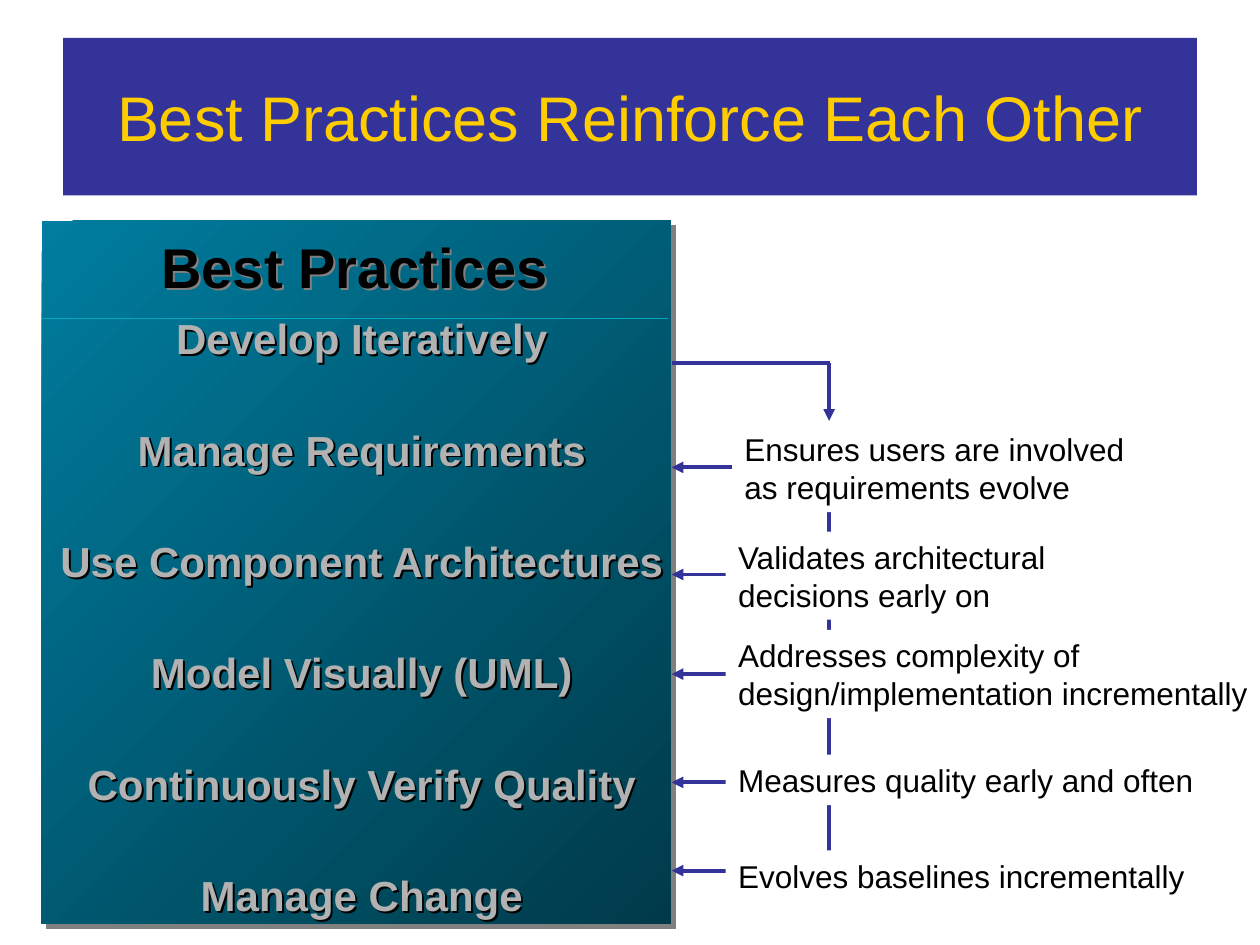
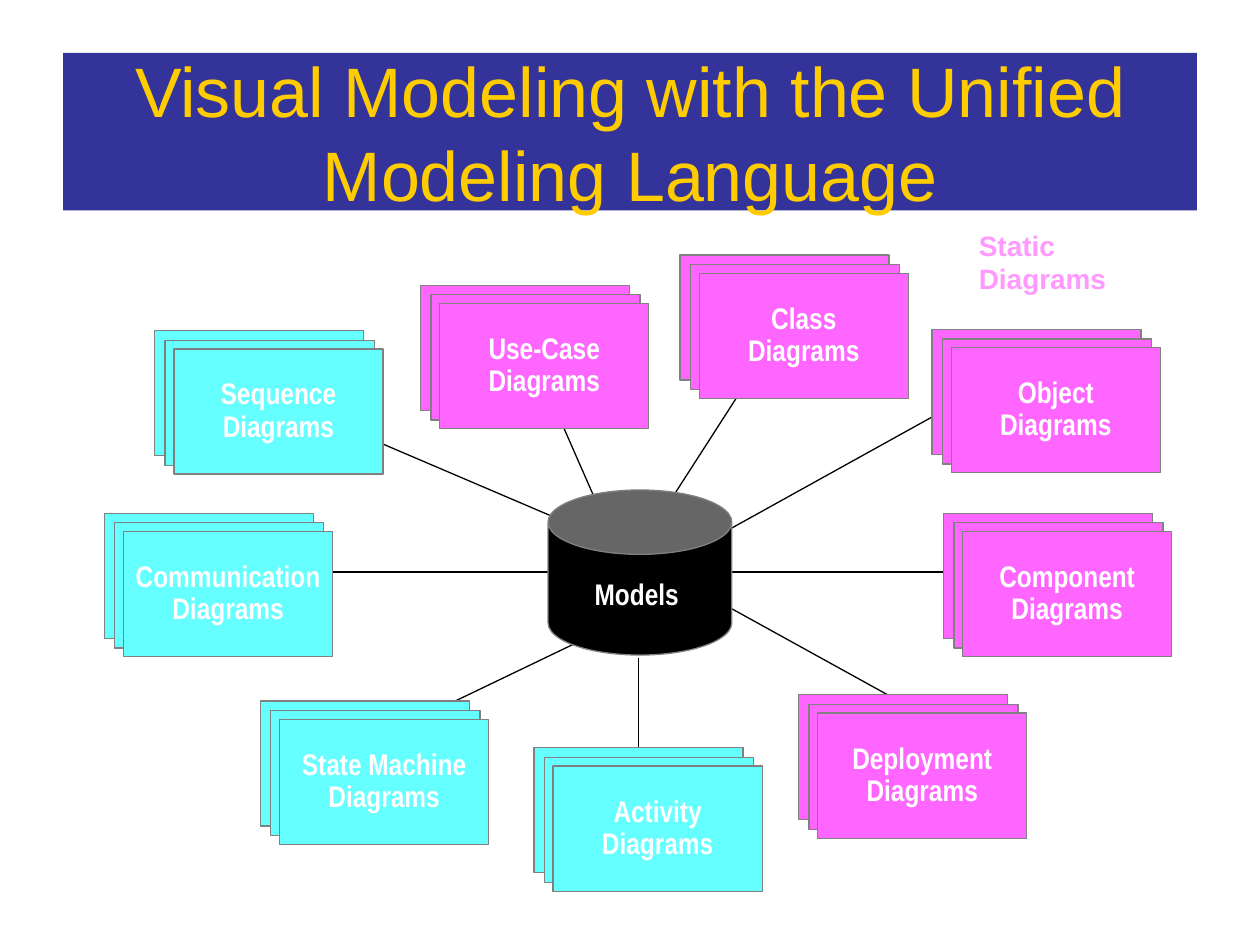
"""Build two slides on best practices and visual modeling."""
import pptx
import pptx.dml.color
import pptx.enum.shapes
import pptx.enum.text
import pptx.oxml.ns
import pptx.util
from lxml import etree

Pt = pptx.util.Pt
qn = pptx.oxml.ns.qn
Shape = pptx.enum.shapes.MSO_SHAPE
Align = pptx.enum.text.PP_ALIGN
Anchor = pptx.enum.text.MSO_ANCHOR

HUES = {
    "band": "333399", "title": "FFCC00", "ink": "000000", "paper": "FFFFFF",
    "light": "007D9F", "deep": "003A4A", "rule": "04A8BE", "list": "B2B2B2",
    "edge": "808080", "cyan": "66FFFF", "pink": "FF66FF", "label": "FF99FF",
}
SANS, SLIM = "Arial", "Arial Narrow"

TREND = "Best Practices Reinforce Each Other"
MODEL = "Visual Modeling with the Unified Modeling Language"
HABITS = ["Develop Iteratively", "Manage Requirements",
          "Use Component Architectures", "Model Visually (UML)",
          "Continuously Verify Quality", "Manage Change"]
NOTES = [
    (414.7, 303.8, 196.6, ["Validates architectural", "decisions early on"]),
    (414.7, 360, 305.3, ["Addresses complexity of", "design/implementation incrementally"]),
    (414.7, 431.3, 274.3, ["Measures quality early and often"]),
    (414.7, 486, 269.3, ["Evolves baselines incrementally"]),
    (418.3, 242.3, 236.2, ["Ensures users are involved", "as requirements evolve"]),
]
ARROWS = [267.1, 328.3, 385.2, 447.1, 497.5]
STACKS = [
    ("Activity", "cyan", 316.1, 437.8), ("Sequence", "cyan", 99.4, 199.4),
    ("Communication", "cyan", 70.6, 303.8), ("State Machine", "cyan", 159.8, 411.1),
    ("Deployment", "pink", 467.3, 407.5), ("Component", "pink", 550.1, 303.8),
    ("Object", "pink", 543.6, 198.7), ("Class", "pink", 399.6, 156.2),
    ("Use-Case", "pink", 251.3, 173.5),
]
SPOKES = [
    (365, 375.8, 365, 437.8), (378, 324, 557.3, 224.6), (396, 326.9, 563, 326.9),
    (174.2, 234.7, 352.8, 311), (238.3, 411.1, 332.6, 365.8),
    (302.4, 199.4, 346.3, 299.5), (174.2, 326.9, 341.3, 326.9),
    (434.2, 206.6, 366.5, 311.8), (511.9, 399.6, 380.2, 326.9),
]


def tint(name):
    """Return the named colour."""
    return pptx.dml.color.RGBColor.from_string(HUES[name])


def paint(shape, hue):
    """Fill a shape with one colour."""
    shape.fill.solid()
    shape.fill.fore_color.rgb = tint(hue)


def shade(shape, hue, dist):
    """Give a shape a diagonal shadow; without a fill, its text casts it."""
    shape.shadow.inherit = False
    effects = shape.element.spPr.find(qn("a:effectLst"))
    drop = etree.SubElement(effects, qn("a:outerShdw"), dist=str(Pt(dist)),
                            dir="2700000", algn="ctr", rotWithShape="0")
    etree.SubElement(drop, qn("a:srgbClr"), val=HUES[hue])


def write(frame, lines, size, hue, font=SANS, bold=False, align=Align.LEFT,
          pitch=1.0, gap=0, plain=False):
    """Write lines as paragraphs, one run each."""
    for i, line in enumerate(lines):
        para = frame.paragraphs[0] if i == 0 else frame.add_paragraph()
        para.alignment, para.line_spacing = align, pitch
        para.space_before = Pt(gap if i else 0)
        if plain:
            props = para._p.get_or_add_pPr()
            props.set("marL", "0")
            props.set("indent", "0")
            etree.SubElement(props, qn("a:buNone"))
        run = para.add_run()
        run.text = line
        run.font.name, run.font.size, run.font.bold = font, Pt(size), bold
        run.font.color.rgb = tint(hue)


def inset(frame, side, top):
    """Set the margins of a text frame."""
    frame.margin_left = frame.margin_right = Pt(side)
    frame.margin_top = frame.margin_bottom = Pt(top)


def place(shape, *box):
    """Move and size a placeholder."""
    shape.left, shape.top, shape.width, shape.height = map(Pt, box)


def start(deck, layout, text, top, size):
    """Add a slide with its title band."""
    slide = deck.slides.add_slide(deck.slide_layouts[layout])
    band = slide.shapes.title
    place(band, 36, top, 648, 90)
    paint(band, "band")
    frame = band.text_frame
    frame.auto_size = pptx.enum.text.MSO_AUTO_SIZE.NONE
    frame.vertical_anchor = Anchor.MIDDLE
    write(frame, [text], size, "title", align=Align.CENTER)
    return slide


def label(slide, box, lines, size, hue, side=7.2, top=3.6, wrap=False,
          anchor=Anchor.TOP, **style):
    """Add a text box."""
    item = slide.shapes.add_textbox(*map(Pt, box))
    frame = item.text_frame
    frame.word_wrap, frame.vertical_anchor = wrap, anchor
    inset(frame, side, top)
    write(frame, lines, size, hue, **style)
    return item


def block(slide, kind, box, hue):
    """Add a filled shape with a thin grey edge."""
    item = slide.shapes.add_shape(kind, *map(Pt, box))
    item.shadow.inherit = False
    paint(item, hue)
    item.line.color.rgb = tint("edge")
    item.line.width = Pt(0.75)
    return item


def link(slide, ends, hue, width, head=False):
    """Add a straight line, with an arrowhead on request."""
    line = slide.shapes.add_connector(
        pptx.enum.shapes.MSO_CONNECTOR.STRAIGHT, *map(Pt, ends))
    line.line.color.rgb = tint(hue)
    line.line.width = Pt(width)
    props = line.element.spPr
    if head:
        etree.SubElement(props.find(qn("a:ln")), qn("a:tailEnd"), type="triangle")
    etree.SubElement(props, qn("a:effectLst"))


def panel(slide):
    """Add the shaded panel that backs the list."""
    item = block(slide, Shape.RECTANGLE, (23.8, 126, 359.3, 401.8), "deep")
    item.line.fill.background()
    item.fill.gradient()
    item.fill.gradient_angle = 315
    for stop, hue in zip(item.fill.gradient_stops, ("light", "deep")):
        stop.color.rgb = tint(hue)
    shade(item, "edge", 4.2)
    return item


def habits(slide, back):
    """Fill the list placeholder and lift it above the panel."""
    body = slide.placeholders[1]
    back.element.addnext(body.element)
    place(body, 23.8, 178.5, 365.8, 352)
    body.fill.background()
    shade(body, "ink", 1.6)
    frame = body.text_frame
    frame.auto_size = pptx.enum.text.MSO_AUTO_SIZE.NONE
    frame.vertical_anchor = Anchor.MIDDLE
    inset(frame, 7.2, 3.6)
    write(frame, HABITS, 24, "list", bold=True, align=Align.CENTER,
          pitch=0.85, gap=39.2, plain=True)


def remark(slide, left, top, width, lines):
    """Add a white note with spare room at its right edge."""
    note = label(slide, (left, top, width, 7.2 + 21.6 * len(lines)),
                 lines, 18, "ink")
    note.text_frame.margin_right = Pt(0)
    paint(note, "paper")


def stack(slide, name, hue, left, top):
    """Add three offset cards, the front one with its name."""
    for right, down in ((11, 10.5), (5, 5), (0, 0)):
        card = block(slide, Shape.RECTANGLE,
                     (left - right, top - down, 119.5, 71.5), hue)
    frame = card.text_frame
    frame.word_wrap, frame.vertical_anchor = False, Anchor.MIDDLE
    inset(frame, 6.5, 3.6)
    write(frame, [name, "Diagrams"], 17, "paper", font=SLIM, bold=True,
          align=Align.CENTER, pitch=0.9)


def trends(deck):
    """Build the slide on best practices."""
    slide = start(deck, 1, TREND, 21.6, 36)
    link(slide, (473.8, 257.8, 473.8, 491.8), "band", 2.25)
    habits(slide, panel(slide))
    head = label(slide, (83.5, 136, 238.3, 39.6), ["Best Practices"], 32, "ink",
                 side=8.6, top=4.3, anchor=Anchor.MIDDLE, bold=True,
                 align=Align.CENTER, pitch=0.8)
    shade(head, "edge", 1.6)
    link(slide, (23.8, 182.2, 381.6, 182.2), "rule", 0.75)
    for level in ARROWS:
        link(slide, (425.5, level, 383.8, level), "band", 2.25, True)
    for note in NOTES:
        remark(slide, *note)
    link(slide, (473.8, 207.4, 473.8, 240.5), "band", 2.25, True)
    link(slide, (383.8, 207.4, 474.5, 207.4), "band", 2.25)


def models(deck):
    """Build the slide on visual modeling."""
    slide = start(deck, 5, MODEL, 30.2, 40)
    for ends in SPOKES:
        link(slide, ends, "ink", 0.75)
    for item in STACKS:
        stack(slide, *item)
    store = block(slide, Shape.CAN, (313.2, 280, 105, 94.3), "ink")
    store.adjustments[0] = 0.39
    label(slide, (331.2, 326.9, 65.5, 26.6), ["Models"], 17, "paper",
          side=8.6, top=4.3, font=SLIM, bold=True, pitch=0.9)
    label(slide, (550.8, 126, 100, 46.8), ["Static Diagrams"], 16, "label",
          side=8.6, top=4.3, wrap=True, bold=True)


def main():
    """Build and save the deck."""
    deck = pptx.Presentation()
    deck.slide_width, deck.slide_height = Pt(720), Pt(540)
    trends(deck)
    models(deck)
    deck.save("out.pptx")


if __name__ == "__main__":
    main()
